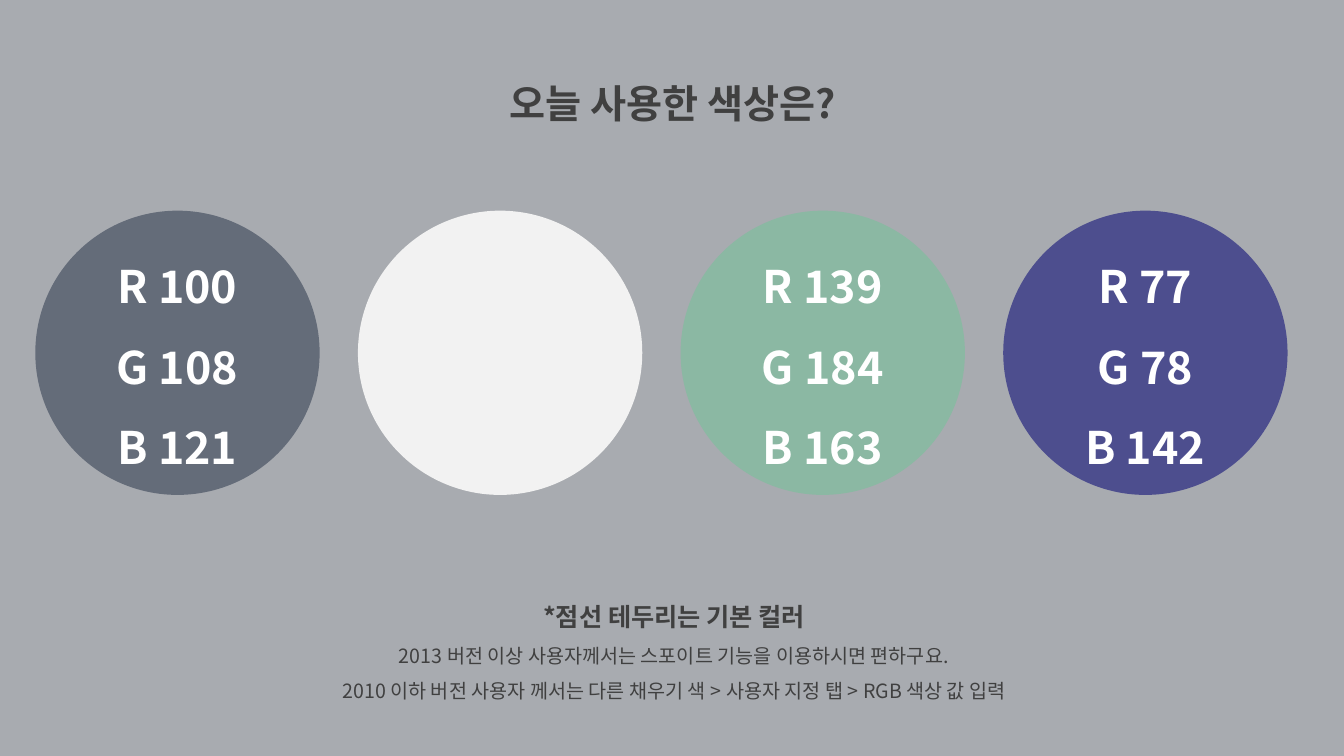
from pptx import Presentation
from pptx.dml.color import RGBColor
from pptx.enum.shapes import MSO_SHAPE
from pptx.enum.text import MSO_ANCHOR, MSO_AUTO_SIZE, PP_ALIGN
from pptx.util import Pt

PX = 9144  # 100 px to the inch
FONT = "Noto Sans CJK KR"
BACKGROUND = RGBColor(0xA8, 0xAB, 0xB0)
INK = RGBColor(0x40, 0x40, 0x40)
WHITE = RGBColor(0xFF, 0xFF, 0xFF)
PALE = RGBColor(242, 242, 242)
SWATCHES = [
    RGBColor(100, 108, 121),
    PALE,
    RGBColor(139, 184, 163),
    RGBColor(77, 78, 142),
]
SWATCH_LEFT, SWATCH_TOP, DIAMETER, PITCH = 35, 209, 282, 320


def write_lines(frame, lines, color):
    """Fill the frame with centred paragraphs given as (text, size, bold)."""
    frame.word_wrap = True
    frame.text = "\n".join(text for text, _, _ in lines)
    for paragraph, (_, size, bold) in zip(frame.paragraphs, lines):
        paragraph.alignment = PP_ALIGN.CENTER
        paragraph.line_spacing = 1.5
        font = paragraph.runs[0].font
        font.size = Pt(size)
        font.bold = bold
        font.color.rgb = color
        font.name = FONT


prs = Presentation()
prs.slide_width = 1333 * PX
prs.slide_height = 750 * PX
slide = prs.slides.add_slide(prs.slide_layouts[6])
slide.background.fill.solid()
slide.background.fill.fore_color.rgb = BACKGROUND

title = [("오늘 사용한 색상은?", 28, True)]
notes = [
    ("*점선 테두리는 기본 컬러", 18, True),
    ("2013 버전 이상 사용자께서는 스포이트 기능을 이용하시면 편하구요.", 14, False),
    ("2010 이하 버전 사용자 께서는 다른 채우기 색 > 사용자 지정 탭 > RGB 색상 값 입력", 14, False),
]
for bounds, lines in [((436, 50, 463, 72), title), ((269, 577, 799, 126), notes)]:
    caption = slide.shapes.add_textbox(*(length * PX for length in bounds))
    write_lines(caption.text_frame, lines, INK)
    caption.text_frame.auto_size = MSO_AUTO_SIZE.SHAPE_TO_FIT_TEXT

for column, color in enumerate(SWATCHES):
    left = SWATCH_LEFT + column * PITCH
    swatch = slide.shapes.add_shape(
        MSO_SHAPE.OVAL, left * PX, SWATCH_TOP * PX, DIAMETER * PX, DIAMETER * PX
    )
    swatch.shadow.inherit = False
    swatch.fill.solid()
    swatch.fill.fore_color.rgb = color
    swatch.line.fill.background()
    if color != PALE:  # white text cannot be read on the pale swatch
        swatch.text_frame.vertical_anchor = MSO_ANCHOR.MIDDLE
        channels = [(f"{name} {value}", 32, True) for name, value in zip("RGB", color)]
        write_lines(swatch.text_frame, channels, WHITE)

prs.save("out.pptx")
